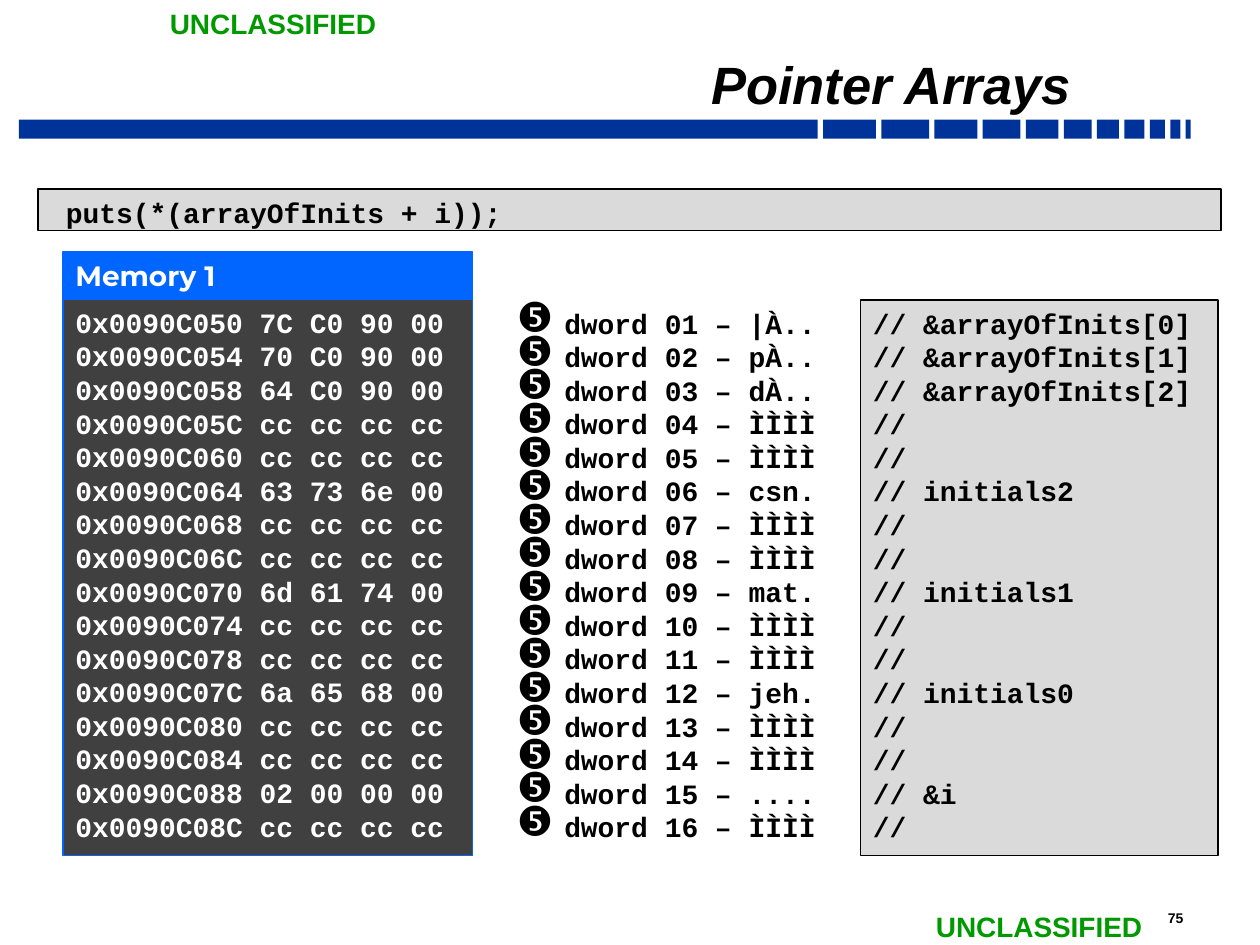
from lxml.etree import SubElement as Sub
from pptx import Presentation
from pptx.dml.color import RGBColor
from pptx.enum.shapes import MSO_SHAPE as Shape
from pptx.enum.text import MSO_ANCHOR as Anchor, PP_ALIGN as Align
from pptx.oxml.ns import qn
from pptx.util import Inches, Pt

COLS, ROWS = 100, 75          # grid of square cells
CELL = Inches(0.1)
MONO = "Courier New"
BLACK, WHITE, GREY = "000000", "FFFFFF", "DADADA"
NAVY, BLUE, DARK, GREEN = "003399", "0066FF", "404040", "009900"

# address, bytes, characters, comment
DWORDS = [
    ("0x0090C050", "7C C0 90 00", "|À..", "&arrayOfInits[0]"),
    ("0x0090C054", "70 C0 90 00", "pÀ..", "&arrayOfInits[1]"),
    ("0x0090C058", "64 C0 90 00", "dÀ..", "&arrayOfInits[2]"),
    ("0x0090C05C", "cc cc cc cc", "ÌÌÌÌ", ""),
    ("0x0090C060", "cc cc cc cc", "ÌÌÌÌ", ""),
    ("0x0090C064", "63 73 6e 00", "csn.", "initials2"),
    ("0x0090C068", "cc cc cc cc", "ÌÌÌÌ", ""),
    ("0x0090C06C", "cc cc cc cc", "ÌÌÌÌ", ""),
    ("0x0090C070", "6d 61 74 00", "mat.", "initials1"),
    ("0x0090C074", "cc cc cc cc", "ÌÌÌÌ", ""),
    ("0x0090C078", "cc cc cc cc", "ÌÌÌÌ", ""),
    ("0x0090C07C", "6a 65 68 00", "jeh.", "initials0"),
    ("0x0090C080", "cc cc cc cc", "ÌÌÌÌ", ""),
    ("0x0090C084", "cc cc cc cc", "ÌÌÌÌ", ""),
    ("0x0090C088", "02 00 00 00", "....", "&i"),
    ("0x0090C08C", "cc cc cc cc", "ÌÌÌÌ", ""),
]


def rgb(code):
    return RGBColor.from_string(code)


def grid(box):
    return [round(n * CELL) for n in box]


def write(para, text, size=16, face=MONO, color=BLACK, slant=False):
    run = para.add_run()
    run.text = text
    font = run.font
    font.size, font.name, font.bold, font.italic = Pt(size), face, True, slant
    font.color.rgb = rgb(color)


def fill(frame, lines, mark=None, **look):
    for i, line in enumerate(lines):
        para = frame.paragraphs[0] if i == 0 else frame.add_paragraph()
        para.alignment = Align.LEFT
        if mark:
            mark(para)
        write(para, line, **look)


def arrow(para):
    props = para._p.get_or_add_pPr()
    props.set("marL", str(Inches(0.38)))
    props.set("indent", str(-Inches(0.38)))
    Sub(Sub(props, qn("a:buClr")), qn("a:srgbClr")).set("val", BLACK)
    for tag, key, val in (("a:buSzPct", "val", "150000"),
                          ("a:buFont", "typeface", "Wingdings"),
                          ("a:buChar", "char", "←")):
        Sub(props, qn(tag)).set(key, val)


def panel(slide, box, color, edge=None, width=1):
    rect = slide.shapes.add_shape(Shape.RECTANGLE, *grid(box))
    rect.shadow.inherit = False
    rect.fill.solid()
    rect.fill.fore_color.rgb = rgb(color)
    if edge:
        rect.line.color.rgb = rgb(edge)
        rect.line.width = Pt(width)
    else:
        rect.line.fill.background()
    frame = rect.text_frame
    frame.word_wrap = True
    frame.vertical_anchor = Anchor.TOP
    return frame


def label(slide, box, lines, wrap=False, **look):
    frame = slide.shapes.add_textbox(*grid(box)).text_frame
    frame.word_wrap = wrap
    fill(frame, lines, **look)


# Header rule: a long bar, then ever shorter blocks at equal gaps
def stripe(slide, box):
    left, top, width, height = box
    parts = [63.4, 4.2, 3.8, 3.4, 3, 2.6, 2.2, 1.75, 1.6, 1.2, 0.8, 0.4]
    gap = (width - sum(parts)) / (len(parts) - 1)
    for part in parts:
        panel(slide, (left, top, part, height), NAVY)
        left += part + gap


def title(slide, box, text):
    head = slide.shapes.title
    head.left, head.top, head.width, head.height = grid(box)
    frame = head.text_frame
    frame.vertical_anchor = Anchor.BOTTOM
    frame.margin_left = frame.margin_right = Inches(0.09)
    frame.margin_top = frame.margin_bottom = Inches(0.04)
    para = frame.paragraphs[0]
    para.alignment, para.line_spacing = Align.RIGHT, 0.7
    write(para, text, 30, "Arial", slant=True)


def code(slide, box, text):
    frame = panel(slide, box, GREY, BLACK)
    frame.vertical_anchor = Anchor.MIDDLE
    frame.margin_left = frame.margin_right = Inches(0.09)
    frame.margin_top, frame.margin_bottom = Inches(0.08), Inches(0.04)
    fill(frame, [text])


# Memory dump: heading strip over the byte rows
def memory(slide, box, head):
    left, top, width, height = box
    strip = 3.75
    frame = panel(slide, (left, top, width, strip), BLUE, BLUE, 0.75)
    frame.vertical_anchor = Anchor.MIDDLE
    fill(frame, [head], face="Montserrat", color=WHITE)
    frame = panel(slide, (left, top + strip, width, height - strip),
                  DARK, BLUE, 0.75)
    fill(frame, [f"{addr} {data}" for addr, data, _, _ in DWORDS], color=WHITE)


def dwords(slide, box):
    lines = [f"dword {n:02} – {row[2]}" for n, row in enumerate(DWORDS, 1)]
    label(slide, box, lines, wrap=True, mark=arrow)


def notes(slide, box):
    frame = panel(slide, box, GREY, BLACK)
    fill(frame, [f"// {row[3]}".rstrip() for row in DWORDS])


def main():
    deck = Presentation()
    deck.slide_width, deck.slide_height = COLS * CELL, ROWS * CELL
    slide = deck.slides.add_slide(deck.slide_layouts[5])

    # Frame of the page
    stripe(slide, (1.5, 9.5, 93, 1.5))
    label(slide, (91.7, 71.7, 5.4, 2.3), ["75"], size=8, face="Arial")
    for left, top in ((12.5, 0), (73.3, 71.7)):
        label(slide, (left, top, 18.6, 3.7), ["UNCLASSIFIED"],
              face="Arial", color=GREEN)
    title(slide, (16.7, 3.5, 69.2, 5.9), "Pointer Arrays")

    # Content
    memory(slide, (5, 20, 32.5, 47.9), "Memory 1")
    dwords(slide, (40, 23.8, 56.8, 44.1))
    code(slide, (3, 15, 93.9, 3.3), " puts(*(arrayOfInits + i));")
    notes(slide, (68.3, 23.8, 28.4, 44.1))
    deck.save("out.pptx")


if __name__ == "__main__":
    main()
